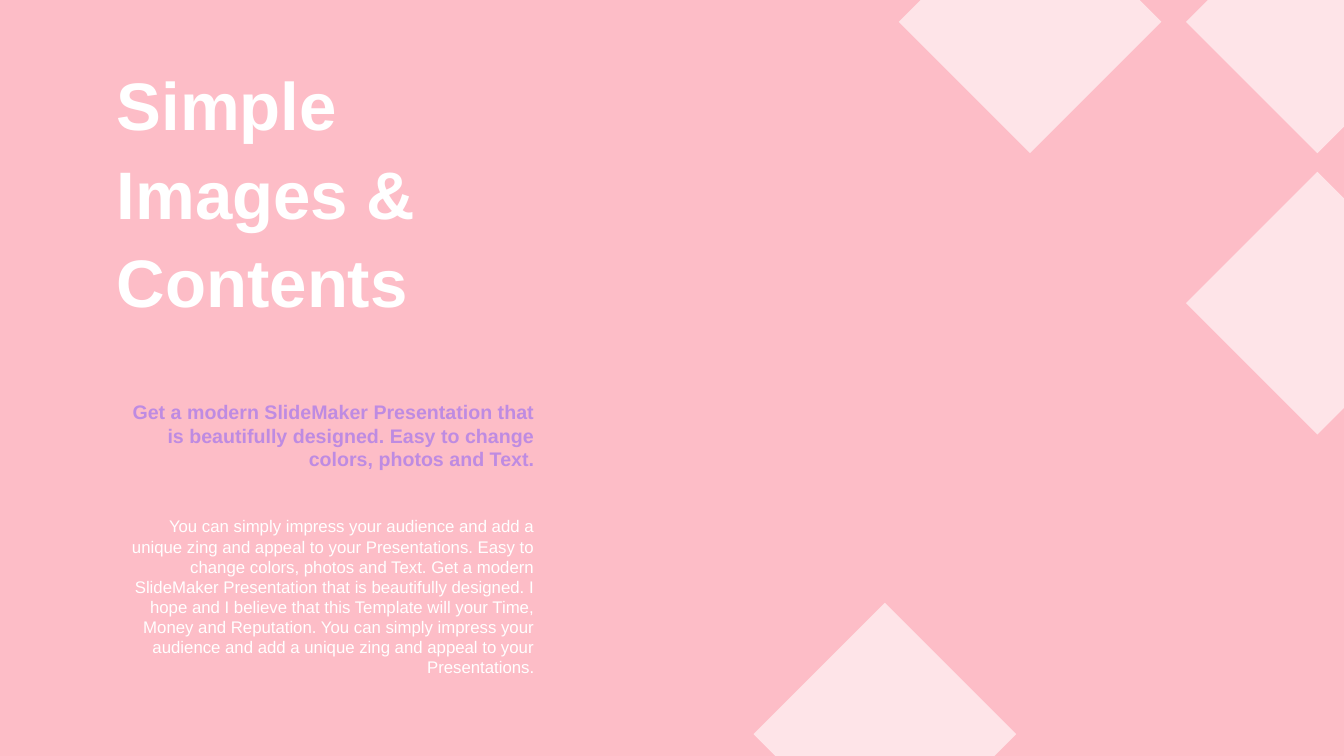
import pptx
import pptx.dml.color
import pptx.enum.text
import pptx.oxml.ns
import pptx.util
from lxml import etree
from pptx.util import Cm, Pt

WIDTH, HEIGHT = 33.87, 19.05
PINK, WHITE, LILAC = "FDBDC7", "FFFFFF", "BE8BE2"
ALIGN = pptx.enum.text.PP_ALIGN

HALF_DIAGONAL = 3.31
DIAMOND_CENTRES = [(33.2, 7.64), (25.96, 0.55), (33.2, 0.55), (22.3, 18.5)]

TITLE = "Simple Images & Contents"
LEAD = ("Get a modern SlideMaker Presentation that is beautifully designed. "
        "Easy to change colors, photos and Text.")
BODY = ("You can simply impress your audience and add a unique zing and appeal "
        "to your Presentations. Easy to change colors, photos and Text. "
        "Get a modern SlideMaker Presentation that is beautifully designed. "
        "I hope and I believe that this Template will your Time, Money and "
        "Reputation. You can simply impress your audience and add a unique "
        "zing and appeal to your Presentations.")


def rgb(value):
    return pptx.dml.color.RGBColor.from_string(value)


def clip(points, axis, limit, sign):
    """Keep the part of a polygon where sign * (coordinate - limit) >= 0."""
    kept = []
    for a, b in zip(points, points[1:] + points[:1]):
        da, db = (sign * (q[axis] - limit) for q in (a, b))
        if da >= 0:
            kept.append(a)
        if da * db < 0:
            t = da / (da - db)
            kept.append(tuple(m + t * (n - m) for m, n in zip(a, b)))
    return kept


class Deck:
    """Holds the presentation, its style and the current slide."""
    font = "Arial"

    def __init__(self):
        self.prs = pptx.Presentation()
        self.prs.slide_width, self.prs.slide_height = Cm(WIDTH), Cm(HEIGHT)

    def slide(self, color):
        self.s = self.prs.slides.add_slide(self.prs.slide_layouts[5])
        fill = self.s.background.fill
        fill.solid()
        fill.fore_color.rgb = rgb(color)

    def set_text(self, sp, text, color, paragraph, font):
        tf = sp.text_frame
        tf.word_wrap = True
        tf.auto_size = pptx.enum.text.MSO_AUTO_SIZE.NONE
        p = tf.paragraphs[0]
        r = p.add_run()
        r.text = text
        for target, values in ((p, paragraph), (r.font, font)):
            for name, value in values.items():
                setattr(target, name, value)
        r.font.name = self.font
        r.font.color.rgb = rgb(color)

    def title(self, box, text, size):
        sp = self.s.shapes.title
        sp.left, sp.top, sp.width, sp.height = map(Cm, box)
        sp.text_frame.vertical_anchor = pptx.enum.text.MSO_ANCHOR.MIDDLE
        self.set_text(sp, text, WHITE,
                      {"alignment": ALIGN.LEFT, "line_spacing": 1.1, "space_before": Pt(0)},
                      {"size": Pt(size), "bold": True})

    def text(self, box, text, color, size, bold=False):
        sp = self.s.shapes.add_textbox(*map(Cm, box))
        self.set_text(sp, text, color, {"alignment": ALIGN.RIGHT},
                      {"size": Pt(size), "bold": bold})

    def diamond(self, x, y, half, opacity):
        """Draw a diamond, cut off at the slide edges."""
        points = [(x, y - half), (x + half, y), (x, y + half), (x - half, y)]
        for axis, limit, sign in ((0, 0, 1), (0, WIDTH, -1), (1, 0, 1), (1, HEIGHT, -1)):
            points = clip(points, axis, limit, sign)
        points = [(Cm(px), Cm(py)) for px, py in points]
        builder = self.s.shapes.build_freeform(*points[0])
        builder.add_line_segments(points[1:], close=True)
        sp = builder.convert_to_shape()
        sp.shadow.inherit = False
        sp.line.fill.background()
        sp.fill.solid()
        sp.fill.fore_color.rgb = rgb(WHITE)
        color = sp.element.spPr.find(".//" + pptx.oxml.ns.qn("a:srgbClr"))
        etree.SubElement(color, pptx.oxml.ns.qn("a:alpha"), val=str(opacity * 1000))


def main():
    deck = Deck()
    deck.slide(PINK)
    deck.text((2.67, 12.88, 11.05, 4.37), BODY, WHITE, 12)
    deck.text((2.67, 9.96, 11.05, 2.06), LEAD, LILAC, 14, bold=True)
    deck.title((2.69, 1.47, 9.12, 6.55), TITLE, 48)
    for x, y in DIAMOND_CENTRES:
        deck.diamond(x, y, HALF_DIAGONAL, opacity=60)
    deck.prs.save("out.pptx")


if __name__ == "__main__":
    main()
